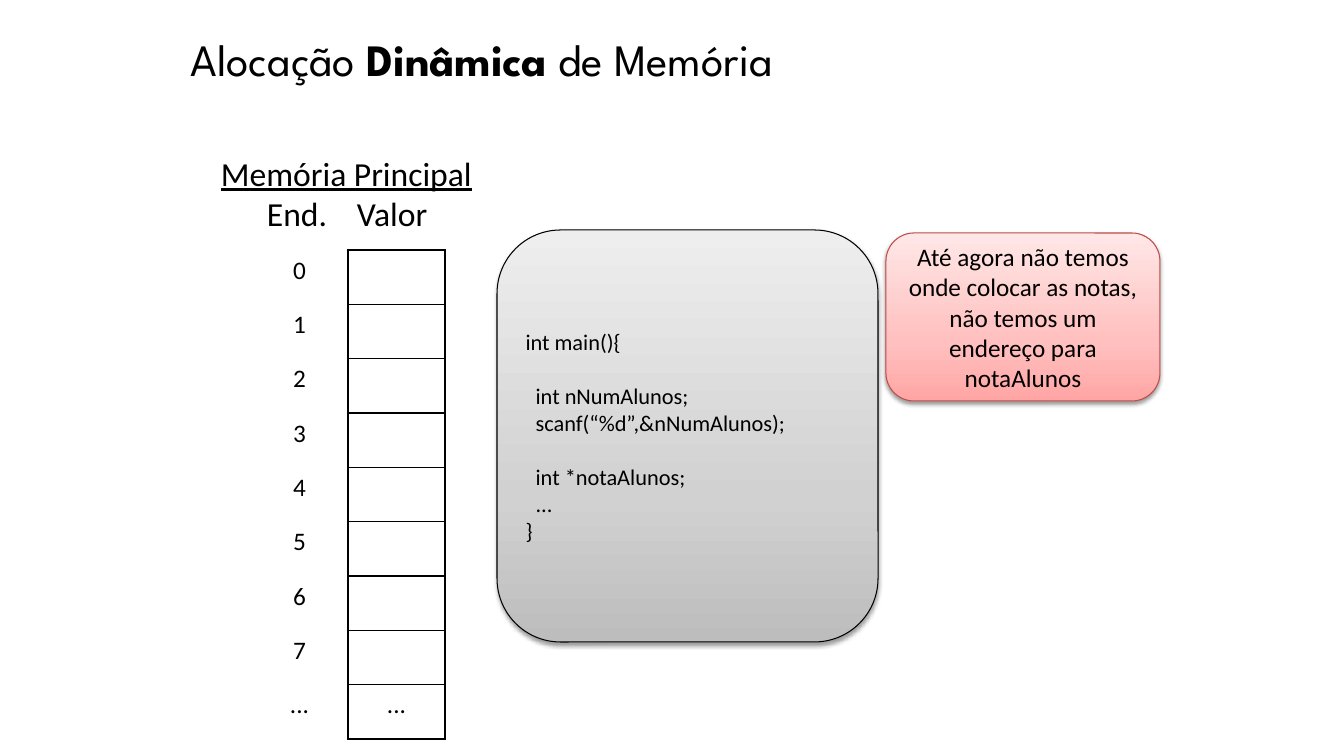
from lxml.etree import SubElement
from pptx import Presentation
from pptx.dml.color import RGBColor
from pptx.enum.shapes import MSO_SHAPE as Shape
from pptx.enum.text import MSO_ANCHOR as Anchor, PP_ALIGN as Align
from pptx.oxml import parse_xml
from pptx.oxml.ns import nsdecls, qn
from pptx.util import Emu, Pt

BLACK, WHITE = "000000", "FFFFFF"
TITLE_FONT, BODY_FONT = "League Spartan", "Calibri"


def px(count):
    return Emu(round(count * 12192000 / 1344))


def color(value):
    return RGBColor.from_string(value)


def add_shadow(effects, blur, distance, angle, opacity):
    shadow = SubElement(effects, qn("a:outerShdw"), blurRad=str(blur), dist=str(distance),
                        dir=str(angle * 60000), rotWithShape="0")
    black = SubElement(shadow, qn("a:srgbClr"), val=BLACK)
    SubElement(black, qn("a:alpha"), val=str(opacity * 1000))


class MemorySlide:
    def __init__(self, deck):
        self.slide = deck.slides.add_slide(deck.slide_layouts[6])

    def run(self, paragraph, words, size, font=BODY_FONT, bold=False, underline=False):
        run = paragraph.add_run()
        run.text = words
        run.font.size = Pt(size)
        run.font.name = font
        run.font.bold = bold
        run.font.underline = underline
        run.font.color.rgb = color(BLACK)
        return run

    def textbox(self, left, top, width, height, anchor=Anchor.TOP):
        frame = self.slide.shapes.add_textbox(px(left), px(top), px(width), px(height)).text_frame
        frame.word_wrap = True
        frame.vertical_anchor = anchor
        return frame

    def title(self, left, top, width, height, parts):
        heading = self.textbox(left, top, width, height, Anchor.MIDDLE).paragraphs[0]
        heading.alignment = Align.CENTER
        for words, bold in parts:
            run = self.run(heading, words, 32, TITLE_FONT, bold)
            effects = parse_xml(f'<a:effectLst {nsdecls("a")}/>')
            add_shadow(effects, 38100, 38100, 45, 43)
            run.font.fill._xPr.find(qn("a:solidFill")).addnext(effects)

    def memory_header(self, left, top, width, height, heading, columns, stops):
        frame = self.textbox(left, top, width, height)
        self.run(frame.paragraphs[0], heading, 24, underline=True)
        labels = frame.add_paragraph()
        tabs = SubElement(labels._p.get_or_add_pPr(), qn("a:tabLst"))
        for stop in stops:
            SubElement(tabs, qn("a:tab"), pos=str(px(stop)), algn="l")
        self.run(labels, "".join("\t" + column for column in columns), 24)

    def card(self, left, top, width, height, gradient, outline):
        card = self.slide.shapes.add_shape(
            Shape.ROUNDED_RECTANGLE, px(left), px(top), px(width), px(height))
        stops = "".join(f'<a:gs pos="{place * 1000}"><a:srgbClr val="{shade}"/></a:gs>'
                        for place, shade in zip((0, 35, 100), gradient))
        properties = card._element.spPr
        properties.find(qn("a:prstGeom")).addnext(parse_xml(
            f'<a:gradFill {nsdecls("a")} rotWithShape="1"><a:gsLst>{stops}</a:gsLst>'
            '<a:lin ang="16200000" scaled="0"/></a:gradFill>'))
        card.line.color.rgb = color(outline)
        card.line.width = Pt(0.75)
        card.shadow.inherit = False
        add_shadow(properties.find(qn("a:effectLst")), 40000, 20000, 90, 38)
        card.text_frame.word_wrap = True
        card.text_frame.vertical_anchor = Anchor.MIDDLE
        return card.text_frame

    def code(self, frame, blocks):
        paragraph = frame.paragraphs[0]
        for block_number, block in enumerate(blocks):
            for line_number, line in enumerate(block):
                if block_number or line_number:
                    paragraph = frame.add_paragraph()
                if block_number and not line_number:
                    paragraph.space_before = Pt(19.5)
                paragraph.alignment = Align.LEFT
                self.run(paragraph, line, 16)

    def note(self, frame, words):
        frame.paragraphs[0].alignment = Align.CENTER
        self.run(frame.paragraphs[0], words, 18)

    def border(self, cell, sides):
        properties = cell._tc.get_or_add_tcPr()
        for side in sides:
            line = SubElement(properties, qn(f"a:ln{side}"), w="12700")
            fill = SubElement(line, qn("a:solidFill"))
            SubElement(fill, qn("a:srgbClr"), val=BLACK)

    def memory_table(self, left, top, width, height, rows):
        table = self.slide.shapes.add_table(
            len(rows), 2, px(left), px(top), px(width), px(height)).table
        table.first_row = table.horz_banding = False
        for row, values in zip(table.rows, rows):
            row.height = px(height / len(rows))
            address, value = row.cells
            self.border(address, "R")
            address.fill.background()
            self.border(value, "LRTB")
            value.fill.solid()
            value.fill.fore_color.rgb = color(WHITE)
            for cell, words in zip(row.cells, values):
                if words:
                    self.note(cell.text_frame, words)


def main():
    deck = Presentation()
    deck.slide_width, deck.slide_height = px(1344), px(756)
    memory = MemorySlide(deck)
    memory.title(0, 16, 964, 85,
                 [("Alocação ", False), ("Dinâmica", True), (" de Memória", False)])
    program = memory.card(497, 230, 381, 412, ("BDBDBD", "D1D1D1", "EEEEEE"), BLACK)
    memory.code(program, [
        ["int main(){"],
        ["  int nNumAlunos;", "  scanf(“%d”,&nNumAlunos);"],
        ["  int *notaAlunos;", "  ...", "}"],
    ])
    memory.memory_header(211, 148, 280, 92, "Memória Principal", ("End.", "Valor"), (46, 136))
    addresses = [(str(number), "") for number in range(8)]
    memory.memory_table(251, 250, 194, 489, addresses + [("...", "...")])
    warning = memory.card(886, 233, 274, 168, ("FFA6A5", "FFC0BF", "FFE7E7"), "BF4C48")
    memory.note(warning, "Até agora não temos onde colocar as notas, "
                         "não temos um endereço para notaAlunos")
    deck.save("out.pptx")


if __name__ == "__main__":
    main()
